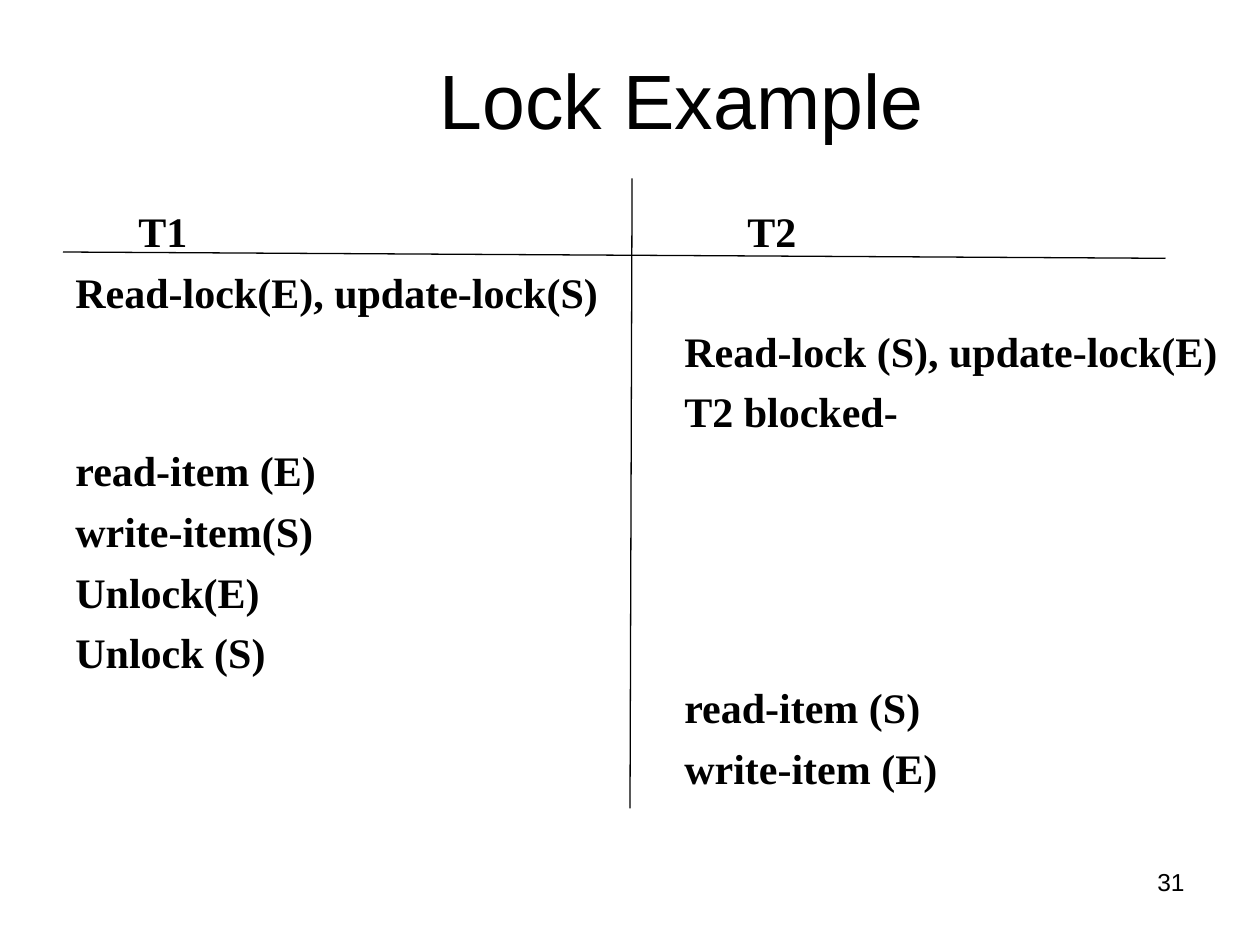
from dataclasses import dataclass

import pptx
import pptx.dml.color
import pptx.enum.shapes
import pptx.enum.text
import pptx.oxml
import pptx.oxml.ns
import pptx.util

ALIGN = pptx.enum.text.PP_ALIGN


@dataclass(frozen=True)
class Theme:
    ink: str = "000000"
    paper: str = "FFFFFF"
    sans: str = "Arial"
    serif: str = "Times New Roman"
    title_size: int = 44
    body_size: int = 24
    number_size: int = 14
    rule_width: float = 0.75
    line_height: float = 27.6
    row_pitch: float = 33.54
    first_gap: float = 3


def rgb(value):
    return pptx.dml.color.RGBColor.from_string(value)


def write(p, text, *, font, size, color, bold=False, align=ALIGN.LEFT, before=0, indent=0):
    r = p.add_run()
    r.text = text
    r.font.name = font
    r.font.size = pptx.util.Pt(size)
    r.font.bold = bold
    r.font.color.rgb = rgb(color)
    p.alignment = align
    p.space_before = pptx.util.Pt(before)
    if indent:
        p._p.get_or_add_pPr().set("marL", str(pptx.util.Inches(indent)))


class Deck:
    COLUMNS, ROWS = 120, 90

    def __init__(self, theme):
        self.theme = theme
        self.prs = pptx.Presentation()
        self.prs.slide_width = pptx.util.Inches(10)
        self.prs.slide_height = pptx.util.Inches(7.5)
        self.s = self.prs.slides.add_slide(self.prs.slide_layouts[6])
        fill = self.s.background.fill
        fill.solid()
        fill.fore_color.rgb = rgb(theme.paper)

    def point(self, col, row):
        return (round(self.prs.slide_width * col / self.COLUMNS),
                round(self.prs.slide_height * row / self.ROWS))

    def box(self, col, row, cols, rows):
        sp = self.s.shapes.add_textbox(*self.point(col, row), *self.point(cols, rows))
        tf = sp.text_frame
        tf.word_wrap = True
        return tf

    def title(self, text, *area):
        tf = self.box(*area)
        tf.margin_top = pptx.util.Inches(0.12)
        write(tf.paragraphs[0], text, font=self.theme.sans, size=self.theme.title_size,
              color=self.theme.ink, align=ALIGN.CENTER, indent=0.82)

    def number(self, text, *area):
        write(self.box(*area).paragraphs[0], text, font=self.theme.sans,
              size=self.theme.number_size, color=self.theme.ink, align=ALIGN.RIGHT)

    def schedule(self, name, steps, *area):
        t = self.theme
        style = dict(font=t.serif, size=t.body_size, color=t.ink, bold=True)
        tf = self.box(*area)
        write(tf.paragraphs[0], name, before=t.first_gap, indent=0.5, **style)
        last = 0
        for step, text in steps.items():
            gap = (step - last) * t.row_pitch - t.line_height
            write(tf.add_paragraph(), text, before=gap, **style)
            last = step

    def rule(self, start, end):
        sp = self.s.shapes.add_connector(pptx.enum.shapes.MSO_CONNECTOR.STRAIGHT,
                                         *self.point(*start), *self.point(*end))
        sp.line.color.rgb = rgb(self.theme.ink)
        sp.line.width = pptx.util.Pt(self.theme.rule_width)
        sp._element.spPr.append(
            pptx.oxml.parse_xml(f"<a:effectLst {pptx.oxml.ns.nsdecls('a')}/>"))


def main():
    deck = Deck(Theme())
    deck.number("31", 86, 82, 28, 6.25)
    deck.title("Lock Example", 6, 3.6, 108, 15)
    deck.schedule("T1", {
        1: "Read-lock(E), update-lock(S)",
        4: "read-item (E)",
        5: "write-item(S)",
        6: "Unlock(E)",
        7: "Unlock (S)",
    }, 6, 19, 58.5, 57.2)
    deck.schedule("T2", {
        2: "Read-lock (S), update-lock(E)",
        3: "T2 blocked-",
        8: "read-item (S)",
        9: "write-item (E)",
    }, 64, 19, 54.5, 57)
    deck.rule((6, 24), (111, 24.6))
    deck.rule((60.2, 17), (60, 77))
    deck.prs.save("out.pptx")


if __name__ == "__main__":
    main()
